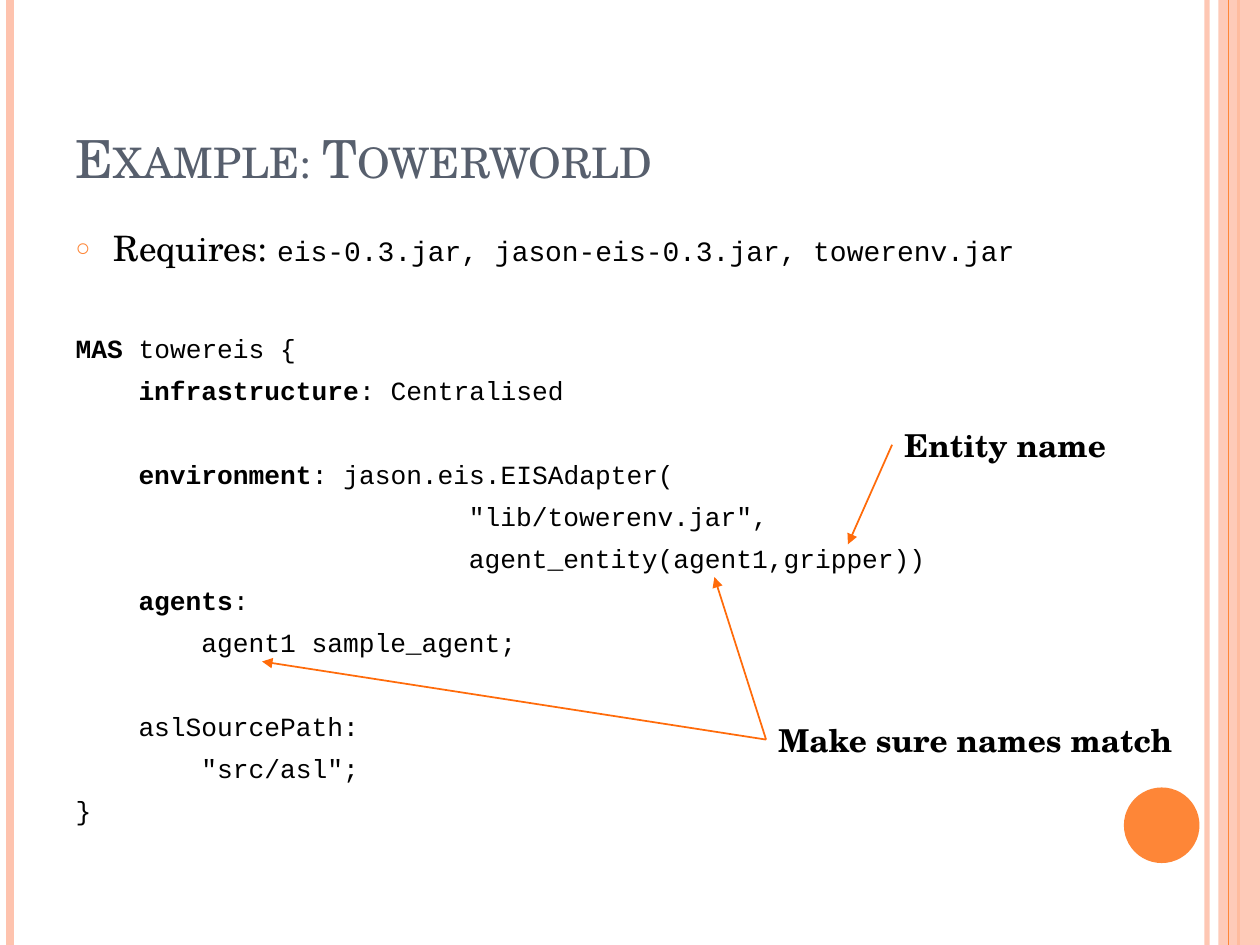
from dataclasses import dataclass

from lxml.etree import SubElement
from pptx import Presentation
from pptx.dml.color import RGBColor
from pptx.enum.shapes import MSO_CONNECTOR, MSO_SHAPE
from pptx.enum.text import MSO_ANCHOR, MSO_AUTO_SIZE, PP_ALIGN
from pptx.oxml.ns import qn
from pptx.util import Inches, Pt


@dataclass(frozen=True)
class Theme:
    """Colours, fonts and type sizes of the slide."""
    serif: str = "TeX Gyre Schola"
    mono: str = "Courier New"
    title: str = "575F6D"
    text: str = "000000"
    accent: str = "FE8637"
    pale: str = "FEC3AE"
    arrow: str = "FF6B0A"
    title_size: int = 30
    body_size: int = 20
    note_size: int = 18
    file_size: int = 16
    code_size: int = 15
    code_gap: int = 6
    code_pitch: int = 24
    body_pitch: int = 30


THEME = Theme()
WIDTH, HEIGHT = 10, 7.5
TITLE_BOX = (0.5, 0.3, 8.17, 1.25)
BODY_BOX = (0.5, 1.75, 8.17, 5.33)
ARGUMENT = " " * 25
CODE = [
    (THEME.body_pitch, "MAS ", "towereis {"),
    (0, "    infrastructure", ": Centralised"),
    (THEME.code_pitch, "    environment", ": jason.eis.EISAdapter("),
    (0, "", ARGUMENT + '"lib/towerenv.jar",'),
    (0, "", ARGUMENT + "agent_entity(agent1,gripper))"),
    (0, "    agents", ":"),
    (0, "", "        agent1 sample_agent;"),
    (THEME.code_pitch, "", "    aslSourcePath:"),
    (0, "", '        "src/asl";'),
    (0, "", "}"),
]
NOTES = [
    ("Make sure names match", (6.08, 5.67, 3.37, 0.4), [(5.67, 4.58), (2.08, 5.25)]),
    ("Entity name", (7.08, 3.33, 1.82, 0.4), [(6.73, 4.32)]),
]


def place(shape, box):
    """Move a shape to a box given in inches."""
    shape.left, shape.top, shape.width, shape.height = map(Inches, box)


def style(font, name, size, color, bold=False):
    """Set face, size, colour and weight of a font."""
    font.name, font.size, font.bold = name, Pt(size), bold
    font.color.rgb = RGBColor.from_string(color)


def add_span(para, text):
    """Append a run of text to a paragraph."""
    span = para.add_run()
    span.text = text
    return span


def set_alpha(shape, percent):
    """Make the first colour of a shape partly transparent."""
    color = next(shape._element.spPr.iter(qn("a:srgbClr")))
    SubElement(color, qn("a:alpha"), val=str(percent * 1000))


def add_line(page, start, end, color, width, arrow=False):
    """Draw a straight line, with an arrowhead at its end if asked."""
    line = page.shapes.add_connector(
        MSO_CONNECTOR.STRAIGHT, *map(Inches, (*start, *end)))
    line.line.color.rgb = RGBColor.from_string(color)
    line.line.width = Pt(width)
    properties = line._element.spPr
    if arrow:
        SubElement(properties.find(qn("a:ln")), qn("a:tailEnd"), type="triangle")
    SubElement(properties, qn("a:effectLst"))
    return line


def add_solid(page, kind, box, color):
    """Draw a filled shape without outline."""
    shape = page.shapes.add_shape(kind, *map(Inches, box))
    shape.shadow.inherit = False
    shape.fill.solid()
    shape.fill.fore_color.rgb = RGBColor.from_string(color)
    shape.line.fill.background()
    return shape


def add_rail(page, x, color, width):
    """Draw a vertical line over the full height of the page."""
    return add_line(page, (x, 0), (x, HEIGHT), color, width)


def add_frame(page):
    """Draw the rails, the side band and the disc."""
    set_alpha(add_rail(page, 9.58, THEME.pale, 3), 93)
    add_rail(page, 0.08, THEME.pale, 4.5)
    add_rail(page, 9.83, THEME.accent, 1.5)
    band = add_solid(page, MSO_SHAPE.RECTANGLE, (9.67, 0, 0.33, HEIGHT), THEME.pale)
    set_alpha(band, 87)
    add_rail(page, 9.75, THEME.accent, 0.75)
    add_solid(page, MSO_SHAPE.OVAL, (8.92, 6.25, 0.6, 0.6), THEME.accent)


def fill_title(title, box):
    """Write the title in small capitals."""
    place(title, box)
    frame = title.text_frame
    frame.auto_size = MSO_AUTO_SIZE.NONE
    frame.vertical_anchor = MSO_ANCHOR.BOTTOM
    para = frame.paragraphs[0]
    para.alignment = PP_ALIGN.LEFT
    span = add_span(para, "Example: Towerworld")
    style(para.font, THEME.serif, THEME.title_size, THEME.title)
    span._r.get_or_add_rPr().set("cap", "small")


def set_bullet(para, mark=None, indent=0):
    """Give a paragraph a hanging bullet, or none."""
    properties = para._p.get_or_add_pPr()
    properties.set("marL", str(Inches(indent)))
    properties.set("indent", str(-Inches(indent)))
    if mark is None:
        SubElement(properties, qn("a:buNone"))
        return
    color = SubElement(properties, qn("a:buClr"))
    SubElement(color, qn("a:srgbClr"), val=THEME.accent)
    SubElement(properties, qn("a:buSzPct"), val="70000")
    SubElement(properties, qn("a:buChar"), char=mark)


def fill_body(body, box):
    """Write the requirements bullet and the code listing."""
    place(body, box)
    frame = body.text_frame
    frame.auto_size = MSO_AUTO_SIZE.NONE
    para = frame.paragraphs[0]
    set_bullet(para, "○", 0.3)
    para.space_before = Pt(0)
    style(add_span(para, "Requires: ").font, THEME.serif, THEME.body_size, THEME.text)
    files = add_span(para, "eis-0.3.jar, jason-eis-0.3.jar, towerenv.jar")
    style(files.font, THEME.mono, THEME.file_size, THEME.text)
    for extra, keyword, rest in CODE:
        para = frame.add_paragraph()
        set_bullet(para)
        para.space_before = Pt(THEME.code_gap + extra)
        style(para.font, THEME.mono, THEME.code_size, THEME.text)
        if keyword:
            add_span(para, keyword).font.bold = True
        add_span(para, rest)


def add_note(page, text, box, targets):
    """Write a bold note with arrows from its left edge to the targets."""
    left, top, _, height = box
    frame = page.shapes.add_textbox(*map(Inches, box)).text_frame
    frame.word_wrap = False
    frame.auto_size = MSO_AUTO_SIZE.SHAPE_TO_FIT_TEXT
    para = frame.paragraphs[0]
    add_span(para, text)
    style(para.font, THEME.serif, THEME.note_size, THEME.text, bold=True)
    for target in targets:
        add_line(page, (left, top + height / 2), target, THEME.arrow, 1, arrow=True)


def main():
    """Build the deck and save it."""
    deck = Presentation()
    deck.slide_width, deck.slide_height = Inches(WIDTH), Inches(HEIGHT)
    page = deck.slides.add_slide(deck.slide_layouts[1])
    add_frame(page)
    fill_title(page.shapes.title, TITLE_BOX)
    fill_body(page.placeholders[1], BODY_BOX)
    for text, box, targets in NOTES:
        add_note(page, text, box, targets)
    deck.save("out.pptx")


if __name__ == "__main__":
    main()
